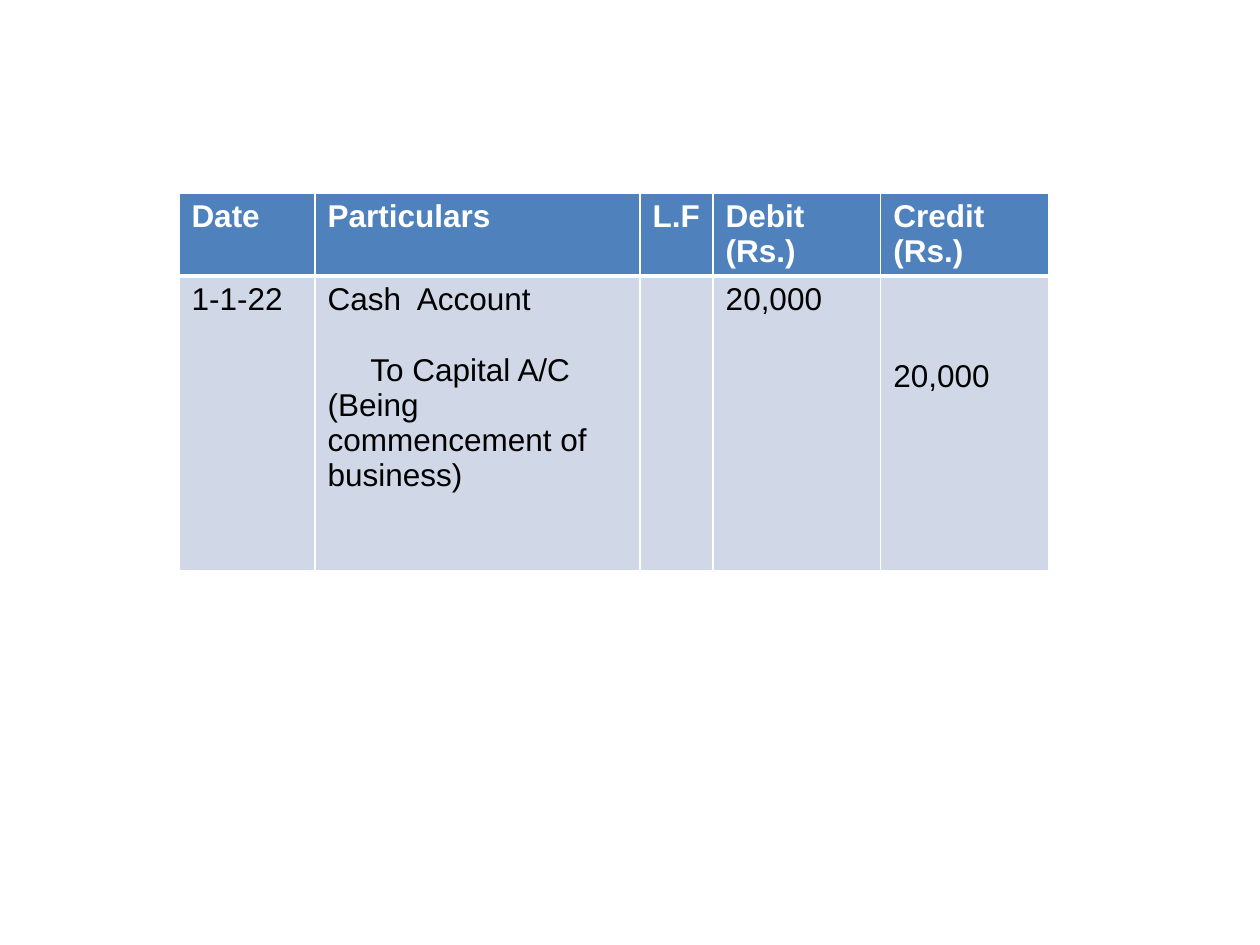
from lxml.etree import SubElement
from pptx import Presentation
from pptx.dml.color import RGBColor
from pptx.oxml.ns import qn
from pptx.util import Inches, Pt

BLUE = RGBColor(0x4F, 0x81, 0xBD)
PALE = RGBColor(0xD0, 0xD8, 0xE8)
WHITE = RGBColor(0xFF, 0xFF, 0xFF)
BLACK = RGBColor(0, 0, 0)

COLUMN_WIDTHS = [1.08, 2.58, 0.58, 1.33, 1.33]
ROW_HEIGHTS = [0.65, 2.34]
ENTRIES = [
    ["Date", "Particulars", "L.F", "Debit (Rs.)", "Credit (Rs.)"],
    ["1-1-22",
     "Cash  Account\nTo Capital A/C\n(Being commencement of business)",
     "", "20,000", "20,000"],
]


def set_borders(cell, widths):
    tcPr = cell._tc.get_or_add_tcPr()
    for side, width in zip("LRTB", widths):
        ln = SubElement(tcPr, qn(f"a:ln{side}"), w=str(Pt(width)))
        fill = SubElement(ln, qn("a:solidFill"))
        SubElement(fill, qn("a:srgbClr"), val=str(WHITE))


def format_cell(cell, text, is_header):
    set_borders(cell, (1, 1, 1, 3) if is_header else (1, 1, 3, 1))
    cell.fill.solid()
    cell.fill.fore_color.rgb = BLUE if is_header else PALE
    cell.text_frame.text = text
    for p in cell.text_frame.paragraphs:
        p.font.size = Pt(18)
        for r in p.runs:
            r.font.name = "Arial"
            r.font.size = Pt(18)
            r.font.bold = is_header
            r.font.color.rgb = WHITE if is_header else BLACK


def add_journal(s, left, top):
    frame = s.shapes.add_table(
        len(ROW_HEIGHTS), len(COLUMN_WIDTHS), left, top,
        Inches(sum(COLUMN_WIDTHS)), Inches(sum(ROW_HEIGHTS)))
    table = frame.table
    for column, width in zip(table.columns, COLUMN_WIDTHS):
        column.width = Inches(width)
    for row, height in zip(table.rows, ROW_HEIGHTS):
        row.height = Inches(height)
    for i, entries in enumerate(ENTRIES):
        for j, text in enumerate(entries):
            format_cell(table.cell(i, j), text, i == 0)

    capital = table.cell(1, 1).text_frame.paragraphs[1]
    capital.space_before = Pt(20)
    capital._p.get_or_add_pPr().set("marL", str(Inches(0.34)))
    table.cell(1, 4).margin_top = Inches(0.66)


def main():
    prs = Presentation()
    prs.slide_width, prs.slide_height = Inches(10), Inches(7.5)
    s = prs.slides.add_slide(prs.slide_layouts[6])
    add_journal(s, Inches(1.42), Inches(1.53))
    prs.save("out.pptx")


if __name__ == "__main__":
    main()
